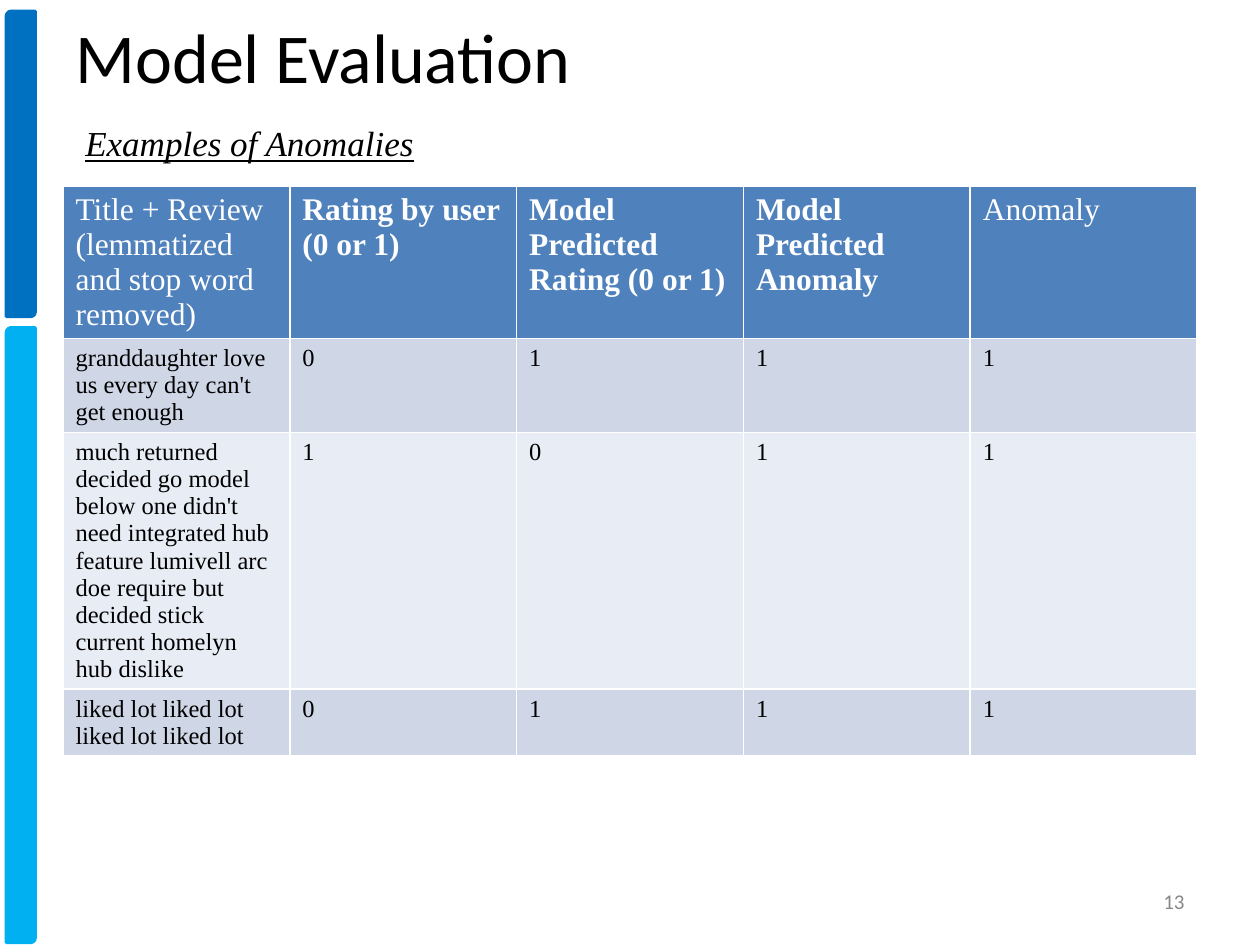
from pptx import Presentation
from pptx.dml.color import RGBColor
from pptx.enum import shapes, text
from pptx.util import Cm, Pt

SERIF = "Times New Roman"
SANS = "Calibri"
HEADERS = [
    "Title + Review (lemmatized and stop word removed)",
    "Rating by user (0 or 1)",
    "Model Predicted Rating (0 or 1)",
    "Model Predicted Anomaly",
    "Anomaly",
]
PLAIN_HEADERS = (HEADERS[0], HEADERS[-1])
REVIEWS = [
    ("granddaughter love us every day can't get enough", "0", "1", "1", "1"),
    ("much returned decided go model below one didn't need integrated hub "
     "feature lumivell arc doe require but decided stick current homelyn hub "
     "dislike", "1", "0", "1", "1"),
    ("liked lot liked lot liked lot liked lot", "0", "1", "1", "1"),
]
ROW_HEIGHTS = [3.03, 1.88, 5.15, 1.34]


def colour(value):
    return RGBColor.from_string(value)


def write(frame, words, size, font, ink, bold=False, italic=False,
          underline=False, align=text.PP_ALIGN.LEFT):
    frame.word_wrap = True
    para = frame.paragraphs[0]
    para.text = words
    para.alignment = align
    para.font.size = Pt(size)
    para.font.name = font
    para.font.color.rgb = colour(ink)
    para.font.bold = bold
    para.font.italic = italic
    para.font.underline = underline


def add_side_bars(page, left, top, width, height):
    """Two stacked bars: the upper a third of the height, then a small gap."""
    upper, gap = 6.15, 0.23
    bars = [(top, upper, "0070C0"),
            (top + upper + gap, height - upper - gap, "00B0F0")]
    for bar_top, bar_height, tint in bars:
        bar = page.shapes.add_shape(
            shapes.MSO_SHAPE.ROUND_2_DIAG_RECTANGLE,
            Cm(left), Cm(bar_top), Cm(width), Cm(bar_height))
        bar.shadow.inherit = False
        bar.fill.solid()
        bar.fill.fore_color.rgb = colour(tint)
        bar.line.color.rgb = colour(tint)
        bar.line.width = Pt(2)


def add_heading(page, left, top, width):
    # Title
    title = page.shapes.title
    title.left, title.top = Cm(left), Cm(top)
    title.width, title.height = Cm(width), Cm(1.96)
    write(title.text_frame, "Model Evaluation", 40, SANS, "000000")
    title.text_frame.vertical_anchor = text.MSO_ANCHOR.TOP
    title.text_frame.auto_size = text.MSO_AUTO_SIZE.NONE

    # Subtitle
    box = page.shapes.add_textbox(Cm(left + 0.2), Cm(top + 2.18),
                                  Cm(22.86), Cm(1.02))
    write(box.text_frame, "Examples of Anomalies", 20, SERIF, "000000",
          italic=True, underline=True)


def add_review_table(page, left, top, width):
    rows = [HEADERS, *REVIEWS]
    table = page.shapes.add_table(
        len(rows), len(HEADERS), Cm(left), Cm(top),
        Cm(width), Cm(sum(ROW_HEIGHTS))).table
    for column in table.columns:
        column.width = Cm(width / len(HEADERS))
    for row, height in zip(table.rows, ROW_HEIGHTS):
        row.height = Cm(height)

    for row_number, values in enumerate(rows):
        is_header = row_number == 0
        band = "4F81BD" if is_header else ("E8ECF4", "CFD7E7")[row_number % 2]
        for column_number, words in enumerate(values):
            cell = table.cell(row_number, column_number)
            cell.fill.solid()
            cell.fill.fore_color.rgb = colour(band)
            write(cell.text_frame, words, 18 if is_header else 14, SERIF,
                  "FFFFFF" if is_header else "000000",
                  bold=is_header and words not in PLAIN_HEADERS)


def add_page_number(page, left, top, width, height):
    box = page.shapes.add_textbox(Cm(left), Cm(top), Cm(width), Cm(height))
    write(box.text_frame, "13", 12, SANS, "888888",
          align=text.PP_ALIGN.RIGHT)
    box.text_frame.vertical_anchor = text.MSO_ANCHOR.MIDDLE


def main():
    deck = Presentation()
    deck.slide_width, deck.slide_height = Cm(25.4), Cm(19.05)
    page = deck.slides.add_slide(deck.slide_layouts[5])
    add_side_bars(page, 0.13, 0.23, 0.58, 18.77)
    add_review_table(page, 1.27, 3.76, 22.86)
    add_heading(page, 1.27, 0.15, 23.72)
    add_page_number(page, 18.21, 17.65, 5.92, 1.02)
    deck.save("out.pptx")


if __name__ == "__main__":
    main()
